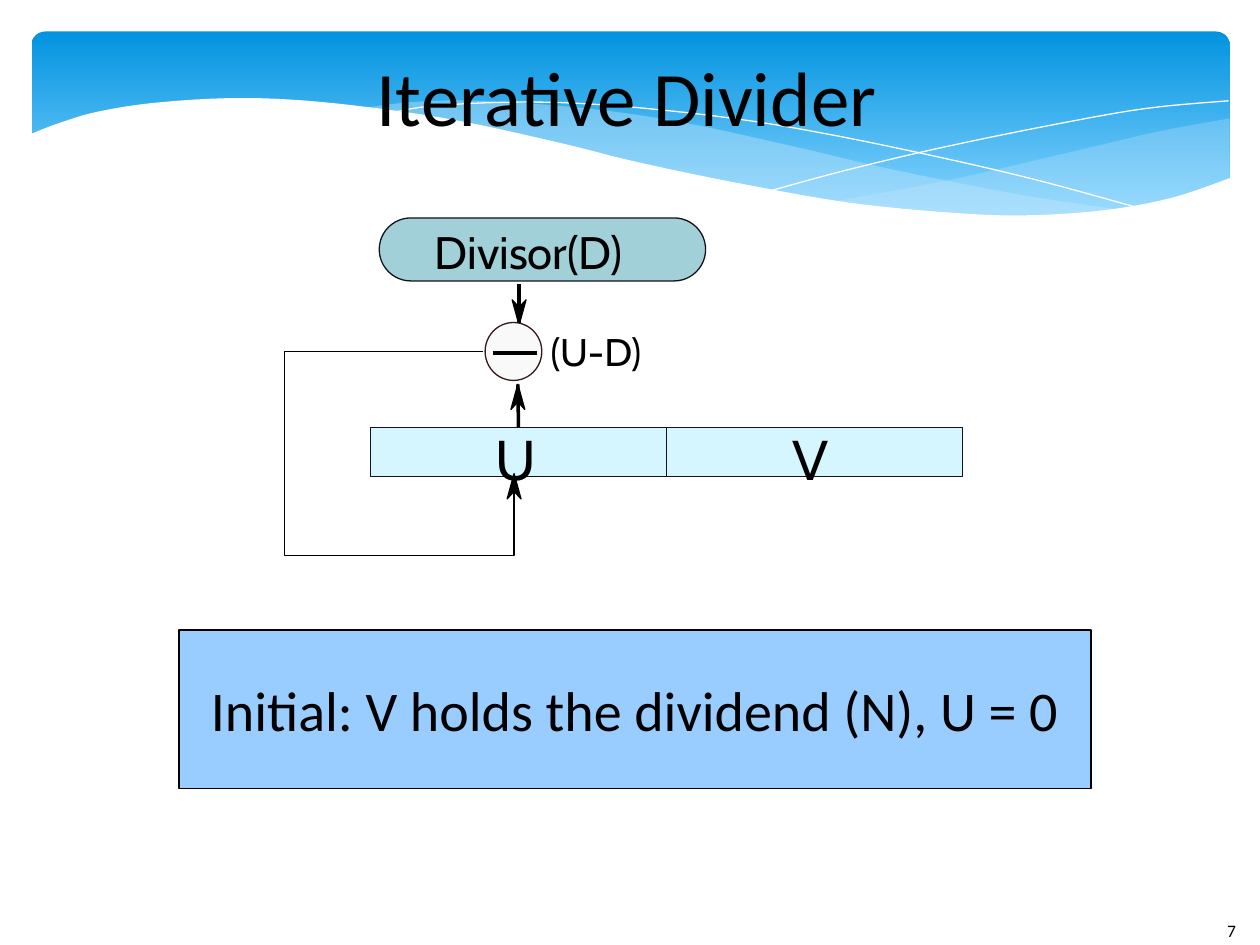
import pptx
import pptx.dml.color
import pptx.enum.shapes
import pptx.enum.text
import pptx.oxml
import pptx.oxml.ns
import pptx.util
from pptx.util import Inches

SHAPE = pptx.enum.shapes.MSO_SHAPE
ALIGN = pptx.enum.text.PP_ALIGN
ANCHOR = pptx.enum.text.MSO_ANCHOR

COLORS = {
    "black": "000000", "white": "FFFFFF", "band_top": "0293E0", "band_bottom": "83D3FE",
    "wave": "C6E7FC", "note": "99CCFF", "divisor": "A2D0D9", "register": "D5F6FF",
    "outline": "15111D", "operator": "F9F9F9", "operator_line": "351717",
}

# Points that the header curves pass through, in inches
RIGHT_WAVE = [(9.76, 0.94), (9.21, 1.04), (8.61, 1.18), (7.53, 1.43), (6.61, 1.6)]
RIGHT_WAVE_BASE = [(6.61, 1.6), (7.19, 1.67), (7.69, 1.71), (8.24, 1.72), (8.81, 1.67),
                   (9.28, 1.58), (9.76, 1.41)]
LEFT_WAVE = [(8.93, 1.67), (8.07, 1.54), (7.06, 1.34), (6.29, 1.16), (5.41, 0.97),
             (4.65, 0.86), (3.8, 0.8), (3.28, 0.81), (2.86, 0.86)]
LEFT_WAVE_BASE = [(2.86, 0.86), (3.62, 0.97), (4.49, 1.16), (5.3, 1.35), (6.18, 1.53),
                  (6.95, 1.65), (7.61, 1.71), (8.28, 1.73), (8.93, 1.67)]
FALLING_LINE = [(3.09, 0.9), (3.44, 0.84), (4.16, 0.81), (4.89, 0.84), (5.82, 0.94),
                (6.65, 1.08), (7.6, 1.28), (8.31, 1.45), (9.07, 1.66)]
RISING_LINE = [(6.13, 1.51), (6.72, 1.35), (7.48, 1.17), (8.36, 0.99), (9.1, 0.86), (9.75, 0.8)]
WHITE_WAVE = [(9.77, 1.41), (9.3, 1.57), (8.75, 1.67), (8.09, 1.71), (7.44, 1.68),
              (6.68, 1.6), (5.79, 1.44), (5.03, 1.28), (4.47, 1.14), (3.65, 0.96),
              (2.92, 0.85), (2.3, 0.79), (1.77, 0.78), (1.19, 0.82), (0.76, 0.89),
              (0.46, 0.98), (0.23, 1.07)]


def rgb(name):
    return pptx.dml.color.RGBColor.from_string(COLORS[name])


def smooth(points, steps=5):
    """Catmull-Rom curve through the points."""
    padded = [points[0], *points, points[-1]]
    curve = [points[0]]
    for before, start, end, after in zip(padded, padded[1:], padded[2:], padded[3:]):
        for step in range(1, steps + 1):
            t = step / steps
            curve.append(tuple(
                b + ((c - a) * t + (2 * a - 5 * b + 4 * c - d) * t ** 2
                     + (3 * b - a - 3 * c + d) * t ** 3) / 2
                for a, b, c, d in zip(before, start, end, after)))
    return curve


def paint(shape, fill=None, line=None):
    shape.shadow.inherit = False
    if fill:
        shape.fill.solid()
        shape.fill.fore_color.rgb = rgb(fill)
    else:
        shape.fill.background()
    if line:
        shape.line.color.rgb = rgb(line)
        shape.line.width = pptx.util.Pt(0)
    else:
        shape.line.fill.background()


def add_box(page, kind, place, fill, line):
    box = page.shapes.add_shape(kind, *map(Inches, place))
    paint(box, fill, line)
    return box


def add_outline(page, points, fill=None, line=None, alpha=None):
    """Closed when filled, open otherwise."""
    corners = [(Inches(x), Inches(y)) for x, y in points]
    builder = page.shapes.build_freeform(*corners[0])
    builder.add_line_segments(corners[1:], close=fill is not None)
    outline = builder.convert_to_shape()
    paint(outline, fill, line)
    if alpha:
        color = outline.element.find(".//" + pptx.oxml.ns.qn("a:srgbClr"))
        color.append(pptx.oxml.parse_xml(
            f'<a:alpha {pptx.oxml.ns.nsdecls("a")} val="{alpha * 1000}"/>'))


def add_line(page, start, end):
    line = page.shapes.add_connector(
        pptx.enum.shapes.MSO_CONNECTOR.STRAIGHT, *map(Inches, start + end))
    line.line.color.rgb = rgb("black")
    line.line.width = pptx.util.Pt(0)
    line.element.spPr.append(
        pptx.oxml.parse_xml(f'<a:effectLst {pptx.oxml.ns.nsdecls("a")}/>'))
    return line


def add_arrowhead(page, x, y, direction):
    """Notched head with its tip at x, y; direction is 1 for down, -1 for up."""
    back, notch = y - 0.2 * direction, y - 0.14 * direction
    add_outline(page, [(x, notch), (x - 0.055, back), (x, y), (x + 0.055, back)],
                "black", "black")


def write(shape, text, size, font, align=ALIGN.LEFT, anchor=ANCHOR.TOP):
    frame = shape.text_frame
    frame.text = text
    frame.word_wrap = True
    frame.vertical_anchor = anchor
    frame.margin_left = frame.margin_right = frame.margin_top = frame.margin_bottom = 0
    para = frame.paragraphs[0]
    para.alignment = align
    span = para.runs[0]
    span.font.size = pptx.util.Pt(size)
    span.font.name = font
    span.font.color.rgb = rgb("black")


def add_label(page, text, place, size, font="Cabin"):
    write(page.shapes.add_textbox(*map(Inches, place)), text, size, font)


def draw_header(page):
    band = add_box(page, SHAPE.ROUNDED_RECTANGLE, (0.25, 0.25, 9.51, 1.56), "band_top", None)
    band.adjustments[0] = 0.07
    band.fill.gradient()
    band.fill.gradient_angle = 270
    stops = zip(band.fill.gradient_stops, ("band_top", "band_bottom"), (0, 0.9))
    for stop, color, position in stops:
        stop.color.rgb = rgb(color)
        stop.position = position
    add_outline(page, smooth(RIGHT_WAVE) + smooth(RIGHT_WAVE_BASE), "wave", alpha=29)
    add_outline(page, smooth(LEFT_WAVE) + smooth(LEFT_WAVE_BASE), "wave", alpha=40)
    for points in (FALLING_LINE, RISING_LINE):
        add_outline(page, smooth(points), line="white")
    add_outline(page, smooth(WHITE_WAVE) + [(0.23, 2.24), (9.77, 2.24)], "white")


def place_title(page, text):
    title = page.shapes.title
    title.left, title.top, title.width, title.height = map(Inches, (0.92, 0.25, 8.11, 1.02))
    write(title, text, 44, "Calibri", ALIGN.CENTER, ANCHOR.MIDDLE)
    title.element.getparent().append(title.element)  # in front of the header


def draw_divider(page):
    # Divisor and the two registers
    divisor = add_box(page, SHAPE.ROUNDED_RECTANGLE, (3.01, 1.73, 2.59, 0.5),
                      "divisor", "outline")
    divisor.adjustments[0] = 0.5
    add_label(page, "Divisor(D)", (3.45, 1.78, 1.76, 0.48), 26)
    width = 2.35
    registers = [add_box(page, SHAPE.RECTANGLE, (2.94 + i * width, 3.39, width, 0.39),
                         "register", "outline") for i in range(2)]
    for i, name in enumerate("UV"):
        add_label(page, name, (3.93 + i * (width + 0.01), 3.37, 0.53, 0.61), 32)

    # Subtraction
    add_line(page, (4.12, 2.25), (4.12, 2.58))
    add_arrowhead(page, 4.12, 2.58, 1)
    add_box(page, SHAPE.OVAL, (3.85, 2.56, 0.45, 0.46), "operator", "operator_line")
    add_line(page, (3.91, 2.8), (4.26, 2.8))
    add_label(page, "(U-D)", (4.37, 2.6, 0.88, 0.4), 22)
    add_line(page, (4.11, 3.39), (4.11, 3.05)).begin_connect(registers[0], 0)
    add_arrowhead(page, 4.11, 3.05, -1)

    # Feedback into U
    add_outline(page, [(3.83, 2.79), (2.26, 2.79), (2.26, 4.41), (4.08, 4.41), (4.08, 3.76)],
                line="black")
    add_arrowhead(page, 4.08, 3.76, -1)


def main():
    deck = pptx.Presentation()
    deck.slide_width, deck.slide_height = Inches(10), Inches(7.5)
    page = deck.slides.add_slide(deck.slide_layouts[5])
    draw_header(page)
    add_label(page, "7", (9.74, 7.3, 0.2, 0.2), 10, "Calibri")
    place_title(page, "Iterative Divider")
    note = add_box(page, SHAPE.RECTANGLE, (1.42, 5, 7.24, 1.26), "note", "black")
    write(note, "Initial: V holds the dividend (N), U = 0", 32, "Calibri",
          ALIGN.CENTER, ANCHOR.MIDDLE)
    draw_divider(page)
    deck.save("out.pptx")


if __name__ == "__main__":
    main()
